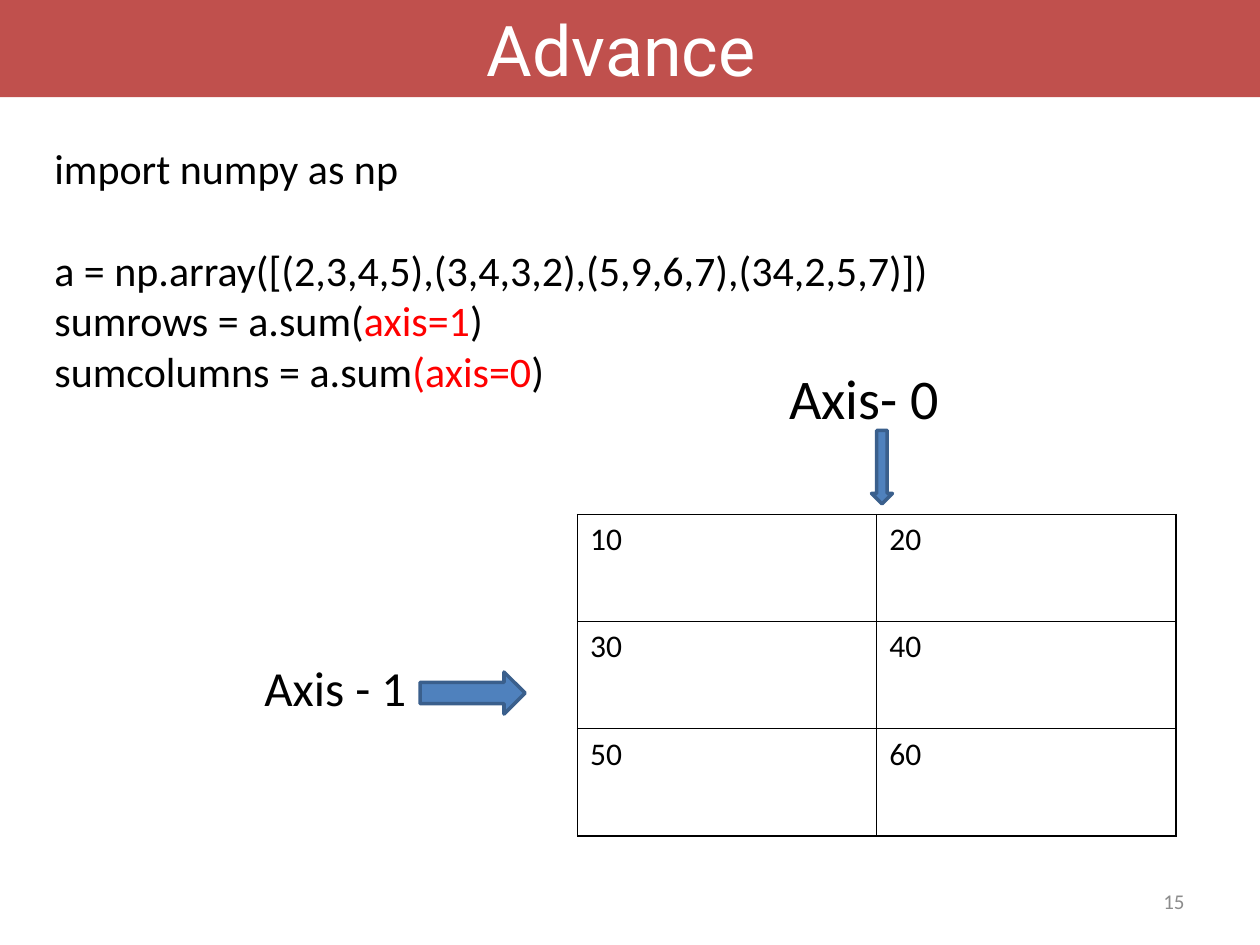
from lxml.etree import SubElement
from pptx import Presentation
from pptx.dml.color import RGBColor
from pptx.enum.shapes import MSO_SHAPE
from pptx.enum.text import MSO_ANCHOR, MSO_AUTO_SIZE, PP_ALIGN
from pptx.oxml.ns import qn
from pptx.util import Pt

COLORS = {"banner": "C0504D", "white": "FFFFFF", "ink": "000000", "accent": "FF0000",
          "arrow": "4F81BD", "edge": "3A5F8C", "muted": "8C8C8C"}
TITLE = "Advance "
CODE = [
    [("import numpy as np", "ink")],
    [("a = np.array([(2,3,4,5),(3,4,3,2),(5,9,6,7),(34,2,5,7)])", "ink")],
    [("sumrows = a.sum(", "ink"), ("axis=1", "accent"), (")", "ink")],
    [("sumcolumns = a.sum", "ink"), ("(axis=0", "accent"), (")", "ink")],
]
CODE_BOX = (24, 78, 678, 298)
BLANK_LINE = 29.3
GRID = [("10", "20"), ("30", "40"), ("50", "60")]
GRID_LEFT, GRID_TOP, COLUMN_WIDTH, ROW_HEIGHT = 330, 294, 171, 61.2
ARROWS = [(MSO_SHAPE.RIGHT_ARROW, (240, 384, 60, 24)),
          (MSO_SHAPE.DOWN_ARROW, (498, 246, 12, 42))]
LABELS = [
    ("Axis- 0", (444, 204, 144, 46), 32, "ink", PP_ALIGN.LEFT, MSO_ANCHOR.TOP, True),
    ("Axis - 1", (144, 372, 96.5, 41), 28, "ink", PP_ALIGN.LEFT, MSO_ANCHOR.TOP, False),
    ("15", (516, 500.5, 168, 28.75), 12, "muted", PP_ALIGN.RIGHT, MSO_ANCHOR.MIDDLE, True),
]


def rgb(name):
    """Return the named palette colour."""
    return RGBColor.from_string(COLORS[name])


def points(box):
    """Convert a box of numbers to lengths."""
    return [Pt(value) for value in box]


def style(font, size, color, face="Calibri"):
    """Set face, size and colour of a font."""
    font.name, font.size = face, Pt(size)
    font.color.rgb = rgb(color)


def add_text_frame(slide, box, wrap=True):
    """Add a text box and return its frame."""
    frame = slide.shapes.add_textbox(*points(box)).text_frame
    frame.word_wrap = wrap
    return frame


def add_title(slide):
    """Turn the title placeholder into the banner."""
    banner = slide.shapes.title
    banner.left, banner.top, banner.width, banner.height = points((0, 0, 720, 55.5))
    banner.fill.solid()
    banner.fill.fore_color.rgb = rgb("banner")
    frame = banner.text_frame
    frame.text = TITLE
    frame.auto_size = MSO_AUTO_SIZE.NONE
    frame.vertical_anchor = MSO_ANCHOR.TOP
    heading = frame.paragraphs[0]
    heading.alignment = PP_ALIGN.CENTER
    style(heading.font, 40, "white", "Roboto")


def add_code(slide):
    """Write the code lines with their highlighted arguments."""
    frame = add_text_frame(slide, CODE_BOX)
    for index, parts in enumerate(CODE):
        line = frame.add_paragraph() if index else frame.paragraphs[0]
        line.space_before = Pt(BLANK_LINE if index == 1 else 0)
        for text, color in parts:
            run = line.add_run()
            run.text = text
            style(run.font, 24, color)


def add_borders(cell):
    """Draw a thin line on every side of a cell."""
    properties = cell._tc.get_or_add_tcPr()
    for position, side in enumerate(("a:lnL", "a:lnR", "a:lnT", "a:lnB")):
        line = properties.makeelement(qn(side), {"w": str(Pt(1))})
        fill = SubElement(line, qn("a:solidFill"))
        SubElement(fill, qn("a:srgbClr"), val=COLORS["ink"])
        properties.insert(position, line)


def add_grid(slide):
    """Add the bordered table of values."""
    columns = len(GRID[0])
    box = (GRID_LEFT, GRID_TOP, COLUMN_WIDTH * columns, ROW_HEIGHT * len(GRID))
    grid = slide.shapes.add_table(len(GRID), columns, *points(box)).table
    grid.first_row = grid.horz_banding = False
    for row, values in enumerate(GRID):
        grid.rows[row].height = Pt(ROW_HEIGHT)
        for column, value in enumerate(values):
            cell = grid.cell(row, column)
            cell.text = value
            cell.fill.background()
            style(cell.text_frame.paragraphs[0].font, 18, "ink")
            add_borders(cell)


def add_arrows(slide):
    """Add the arrows that point along each axis."""
    for preset, box in ARROWS:
        arrow = slide.shapes.add_shape(preset, *points(box))
        arrow.shadow.inherit = False
        arrow.fill.solid()
        arrow.fill.fore_color.rgb = rgb("arrow")
        arrow.line.color.rgb = rgb("edge")
        arrow.line.width = Pt(2)


def add_labels(slide):
    """Add the axis labels and the page number."""
    for text, box, size, color, alignment, anchor, wrap in LABELS:
        frame = add_text_frame(slide, box, wrap)
        frame.text = text
        frame.vertical_anchor = anchor
        label = frame.paragraphs[0]
        label.alignment = alignment
        style(label.font, size, color)


def main():
    """Build and save the slide."""
    deck = Presentation()
    deck.slide_width, deck.slide_height = Pt(720), Pt(540)
    slide = deck.slides.add_slide(deck.slide_layouts[5])
    for add_part in (add_title, add_code, add_grid, add_arrows, add_labels):
        add_part(slide)
    deck.save("out.pptx")


main()
